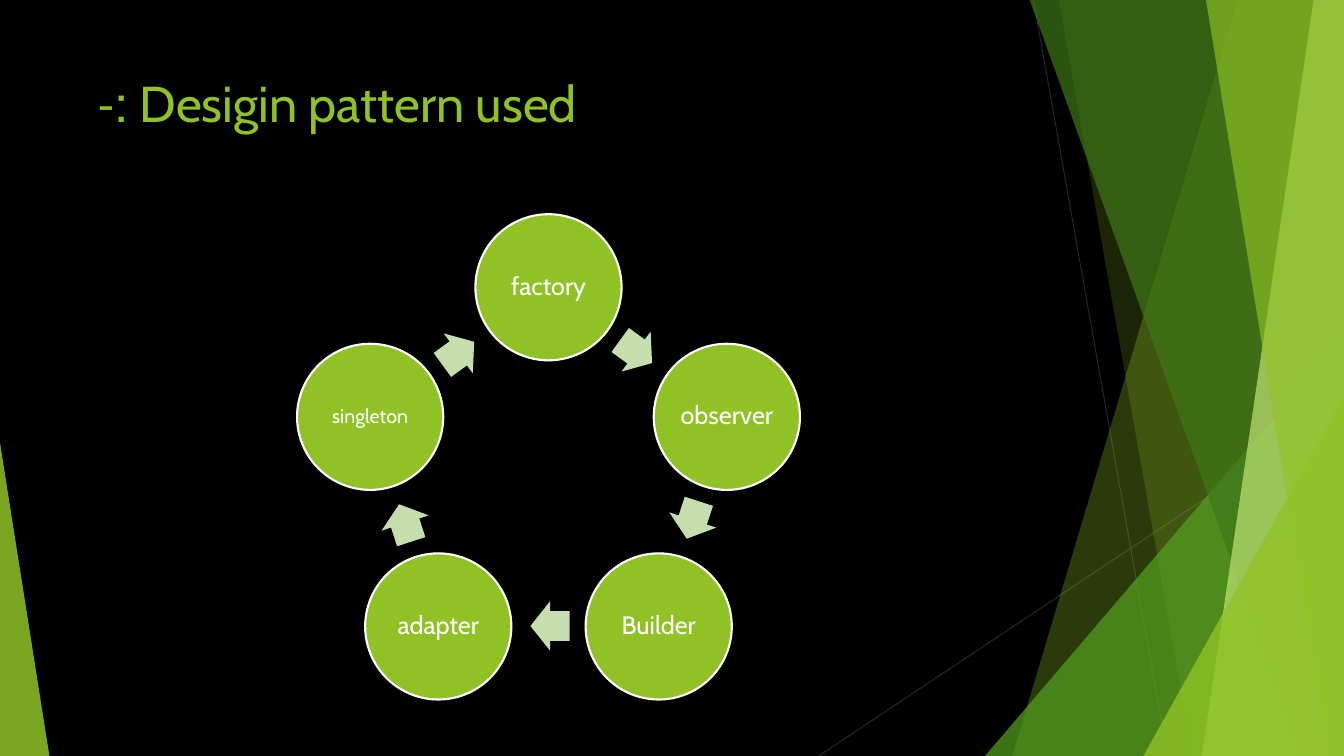
"""Build a slide showing the design patterns used as a cycle of five circles."""
from math import cos, radians, sin

from lxml import etree
from pptx import Presentation
from pptx.dml.color import RGBColor
from pptx.enum.shapes import MSO_CONNECTOR, MSO_SHAPE
from pptx.enum.text import MSO_ANCHOR, PP_ALIGN
from pptx.oxml.ns import qn
from pptx.util import Inches, Pt

STRAIGHT = MSO_CONNECTOR.STRAIGHT
TRIANGLE, OVAL, ARROW = MSO_SHAPE.ISOSCELES_TRIANGLE, MSO_SHAPE.OVAL, MSO_SHAPE.RIGHT_ARROW
LEFT, CENTER = PP_ALIGN.LEFT, PP_ALIGN.CENTER
TOP, MIDDLE = MSO_ANCHOR.TOP, MSO_ANCHOR.MIDDLE

WIDTH, HEIGHT = 13.33, 7.5
FONT = "Cabin"
BLACK, WHITE, GREEN, PALE, HAIRLINE = "000000", "FFFFFF", "90C226", "C6DDAD", "262626"

TITLE = "Desigin pattern used :-"
PATTERNS = [("factory", 18), ("observer", 18), ("Builder", 18), ("adapter", 18), ("singleton", 14)]

HAIRLINES = [(10.25, 0, 11.58, HEIGHT), (WIDTH, 4.03, 8.12, HEIGHT)]
# Bands: top-left x, bottom-left x, colour, opacity; facets: box, peak, colour, opacity
BACK_BANDS = [(12.28, 10.04, GREEN, 30), (10.5, 11.83, GREEN, 20)]
BACK_FACETS = [((9.77, 3.33, 3.56, 4.17), 1, "54A021", 72)]
FRONT_BANDS = [(10.21, 12.91, "3F7819", 70), (13.03, 11.92, "C0E474", 70), (11.96, 13.18, GREEN, 65)]
FRONT_FACETS = [((11.34, 3.93, 1.99, 3.57), 1, GREEN, 80), ((0, 4.39, 0.49, 3.11), 0, GREEN, 85)]

RING_X, RING_Y, RING_RADIUS = 5.44, 4.71, 1.86
CIRCLE = 1.45
ARROW_RADIUS, ARROW_LENGTH, ARROW_WIDTH = 1.5, 0.39, 0.49
ARROW_LAG = 0.6


def color(value):
    return RGBColor.from_string(value)


def paint(shape, fill, opacity=100):
    shape.shadow.inherit = False
    shape.fill.solid()
    shape.fill.fore_color.rgb = color(fill)
    shape.line.fill.background()
    if opacity < 100:
        tint = shape.fill._xPr.find(qn("a:solidFill"))[0]
        etree.SubElement(tint, qn("a:alpha")).set("val", str(opacity * 1000))


def write(frame, text, size, ink, align, anchor):
    frame.word_wrap = True
    frame.vertical_anchor = anchor
    paragraph = frame.paragraphs[0]
    paragraph.alignment = align
    run = paragraph.add_run()
    run.text = text
    run.font.size = Pt(size)
    run.font.name = FONT
    run.font.color.rgb = color(ink)
    return paragraph


def draw_hairlines(shapes):
    for ends in HAIRLINES:
        hairline = shapes.add_connector(STRAIGHT, *map(Inches, ends))
        hairline.line.color.rgb = color(HAIRLINE)
        hairline.line.width = Pt(0.75)
        etree.SubElement(hairline._element.spPr, qn("a:effectLst"))


def draw_bands(shapes, bands):
    for top_x, bottom_x, fill, opacity in bands:
        corners = [(top_x, -0.01), (WIDTH, -0.01), (WIDTH, HEIGHT), (bottom_x, HEIGHT)]
        points = [(Inches(x), Inches(y)) for x, y in corners]
        outline = shapes.build_freeform(*points[0])
        outline.add_line_segments(points[1:], close=True)
        paint(outline.convert_to_shape(), fill, opacity)


def draw_facets(shapes, facets):
    for box, peak, fill, opacity in facets:
        facet = shapes.add_shape(TRIANGLE, *map(Inches, box))
        facet.adjustments[0] = peak
        paint(facet, fill, opacity)


def add_on_ring(shapes, kind, angle, radius, width, height):
    x = RING_X + radius * sin(radians(angle)) - width / 2
    y = RING_Y - radius * cos(radians(angle)) - height / 2
    return shapes.add_shape(kind, *map(Inches, (x, y, width, height)))


def draw_cycle(shapes):
    step = 360 / len(PATTERNS)
    for index, (pattern, size) in enumerate(PATTERNS):
        angle = index * step
        circle = add_on_ring(shapes, OVAL, angle, RING_RADIUS, CIRCLE, CIRCLE)
        paint(circle, GREEN)
        circle.line.color.rgb = color(WHITE)
        circle.line.width = Pt(1.5)
        frame = circle.text_frame
        frame.margin_left = frame.margin_right = Inches(0.03)
        frame.margin_top = frame.margin_bottom = Inches(0.03)
        write(frame, pattern, size, WHITE, CENTER, MIDDLE).line_spacing = 0.9

        halfway = angle + step / 2
        arrow = add_on_ring(shapes, ARROW, halfway - ARROW_LAG, ARROW_RADIUS,
                            ARROW_LENGTH, ARROW_WIDTH)
        arrow.adjustments[0], arrow.adjustments[1] = 0.6, 0.5
        arrow.rotation = halfway
        paint(arrow, PALE)


def draw_title(shapes):
    title = shapes.add_textbox(*map(Inches, (0.74, 0.67, 9.4, 1.44)))
    title.text_frame.margin_left = Inches(0.23)
    paragraph = write(title.text_frame, TITLE, 36, GREEN, LEFT, TOP)
    paragraph._p.get_or_add_pPr().set("rtl", "1")


def main():
    deck = Presentation()
    deck.slide_width, deck.slide_height = Inches(WIDTH), Inches(HEIGHT)
    slide = deck.slides.add_slide(deck.slide_layouts[6])
    slide.background.fill.solid()
    slide.background.fill.fore_color.rgb = color(BLACK)
    shapes = slide.shapes
    draw_hairlines(shapes)
    draw_bands(shapes, BACK_BANDS)
    draw_facets(shapes, BACK_FACETS)
    draw_bands(shapes, FRONT_BANDS)
    draw_facets(shapes, FRONT_FACETS)
    draw_title(shapes)
    draw_cycle(shapes)
    deck.save("out.pptx")


if __name__ == "__main__":
    main()
